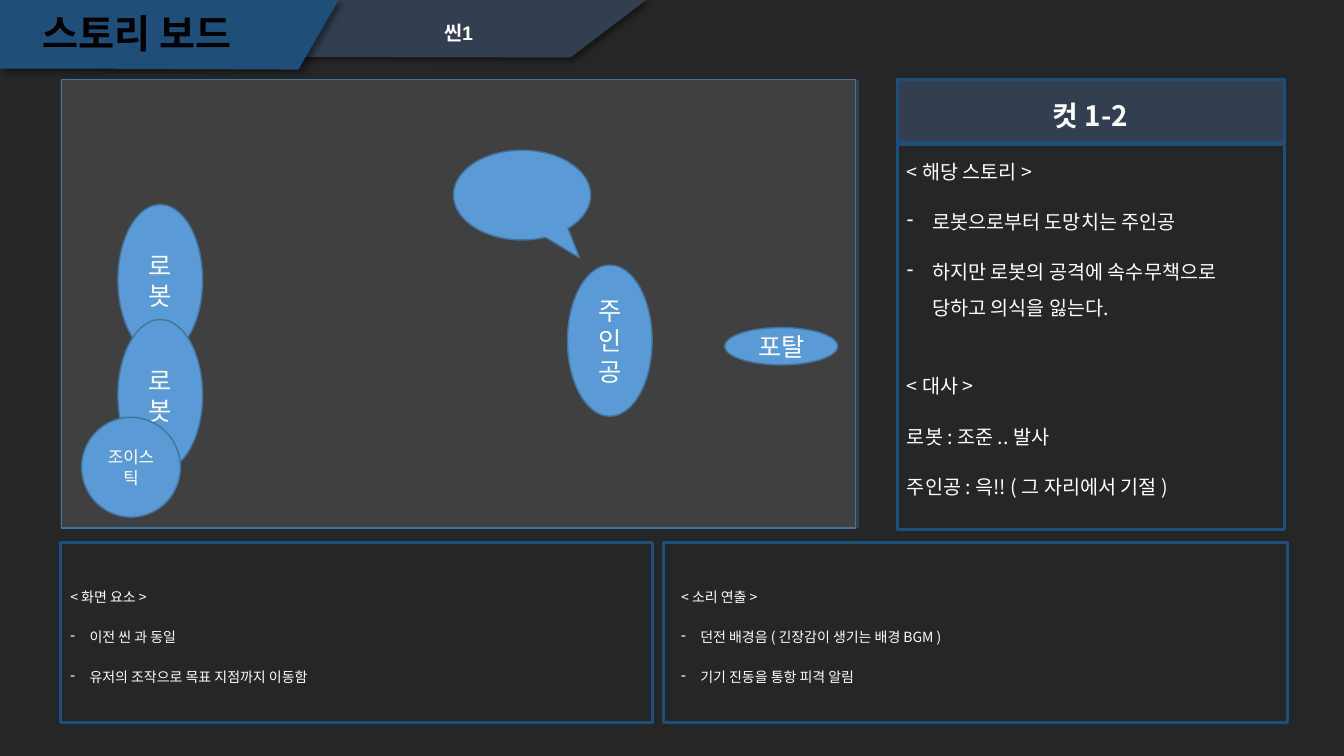
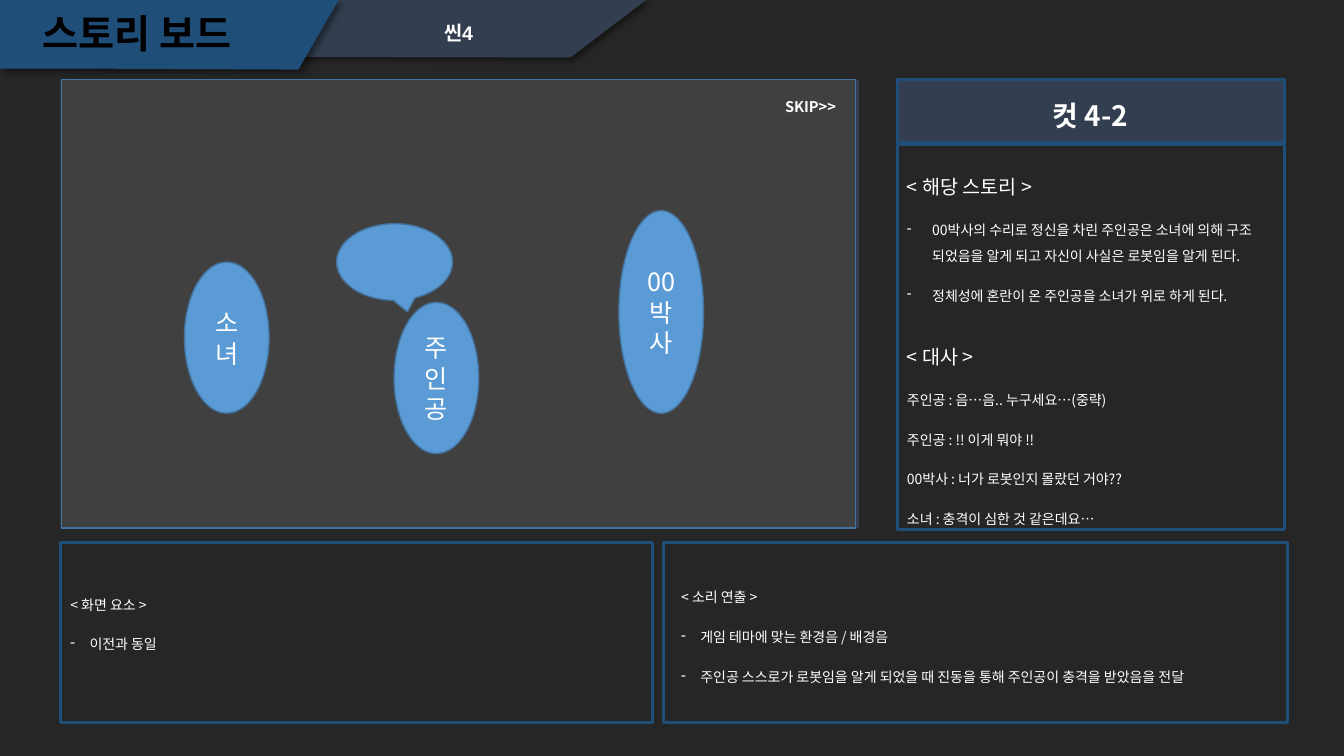
from lxml import etree
from pptx import Presentation
from pptx.dml.color import RGBColor
from pptx.enum.shapes import MSO_SHAPE
from pptx.enum.text import MSO_ANCHOR, PP_ALIGN
from pptx.oxml.ns import qn
from pptx.util import Emu, Inches, Pt

RECT, OVAL = MSO_SHAPE.RECTANGLE, MSO_SHAPE.OVAL
BUBBLE = MSO_SHAPE.OVAL_CALLOUT
TOP, MIDDLE = MSO_ANCHOR.TOP, MSO_ANCHOR.MIDDLE
LEFT, CENTER = PP_ALIGN.LEFT, PP_ALIGN.CENTER

# Grid: 160 columns by 90 rows of square cells
CELL = Inches(1) / 12
SIDE, SIDE_W = 106.8, 46.08
TOP_ROW, FOOT_ROW, FOOT_H = 9.48, 64.56, 21.48
STORY = (SIDE, 16.08, SIDE_W, 23.4)
TALK = (SIDE, 39.48, SIDE_W, 23.4)
VIEW = (7.2, FOOT_ROW, 72.72, FOOT_H)
SOUND = (79.92, FOOT_ROW, 72.72, FOOT_H)
ACTOR = (10.08, 18)


def grid(*cells):
    return [Emu(round(c * CELL)) for c in cells]


def color(code):
    return RGBColor.from_string(code)


class Board:
    BACK, SLATE, NAVY, GRAY = "262626", "333F50", "1F4E79", "404040"
    BLUE, EDGE, WHITE, BLACK = "5B9BD5", "43739E", "FFFFFF", "000000"
    BODY, HEAD = "Noto Sans CJK KR", "Arial"
    LOOSE, TIGHT = 1.84, 1.21

    def __init__(self):
        self.deck = Presentation()
        self.deck.slide_width, self.deck.slide_height = grid(160, 90)
        self.slide = None

    # Style helpers
    def paint(self, shape, fill=None, line=None, width=1):
        shape.shadow.inherit = False
        if fill:
            shape.fill.solid()
            shape.fill.fore_color.rgb = color(fill)
        else:
            shape.fill.background()
        if line:
            shape.line.color.rgb = color(line)
            shape.line.width = Pt(width)
        else:
            shape.line.fill.background()

    def typeset(self, frame, lines, size, head=None, align=LEFT, anchor=MIDDLE,
                font=BODY, ink=WHITE, bold=False, lead=None, gap=10, indent=0.19):
        frame.word_wrap = True
        frame.vertical_anchor = anchor
        for i, line in enumerate(lines):
            para = frame.paragraphs[0] if i == 0 else frame.add_paragraph()
            pts = head if head and i == 0 else size
            para.alignment = align
            para.space_before = Pt(gap if i else 0)
            if lead:
                para.line_spacing = Pt(round(pts * lead, 1))
            if line.startswith("- "):
                line = line[2:]
                props = para._p.get_or_add_pPr()
                props.set("marL", str(Inches(indent)))
                props.set("indent", str(-Inches(indent)))
                etree.SubElement(props, qn("a:buChar")).set("char", "-")
            para.add_run().text = line
            para.font.size, para.font.name = Pt(pts), font
            para.font.bold = bold
            para.font.color.rgb = color(ink)

    # Elements
    def box(self, area, fill=None, line=None, width=1, kind=RECT):
        shape = self.slide.shapes.add_shape(kind, *grid(*area))
        self.paint(shape, fill, line, width)
        return shape

    def text(self, area, lines, size, foot=0.05, **style):
        frame = self.slide.shapes.add_textbox(*grid(*area)).text_frame
        frame.margin_bottom = Inches(foot)
        self.typeset(frame, lines, size, **style)

    def note(self, area, lines, size=10, **style):
        self.text(area, lines, size, lead=self.LOOSE, **style)

    def oval(self, area, label, size=18):
        shape = self.box(area, self.BLUE, self.EDGE, kind=OVAL)
        self.typeset(shape.text_frame, [label], size, align=CENTER, lead=self.TIGHT)

    def bubble(self, area, tip):
        shape = self.box(area, self.BLUE, self.EDGE, kind=BUBBLE)
        for i, share in enumerate(tip):
            shape.adjustments[i] = share

    def band(self, points, fill):
        dots = [tuple(grid(*p)) for p in points]
        pen = self.slide.shapes.build_freeform(*dots[0])
        pen.add_line_segments(dots[1:], close=True)
        shape = pen.convert_to_shape()
        self.paint(shape, fill)
        effects = shape._element.spPr.find(qn("a:effectLst"))
        glow = etree.SubElement(effects, qn("a:outerShdw"), blurRad=str(Pt(4)),
                                dist=str(Pt(3)), dir="2700000", algn="tl")
        tone = etree.SubElement(glow, qn("a:srgbClr"), val=self.BLACK)
        etree.SubElement(tone, qn("a:alpha"), val="40000")

    # Frame shared by every slide
    def page(self, scene, cut):
        self.slide = self.deck.slides.add_slide(self.deck.slide_layouts[6])
        back = self.slide.background.fill
        back.solid()
        back.fore_color.rgb = color(self.BACK)
        self.band([(0.6, 0), (76.92, 0), (67.92, 6.84), (16.56, 6.72),
                   (0.6, 6.72)], self.SLATE)
        self.band([(0, 0), (40.32, 0), (35.52, 8.28), (8.4, 8.16),
                   (0, 8.16)], self.NAVY)
        self.box((7.2, TOP_ROW, 95.04, 53.4), self.SLATE)
        for area, fill in (((SIDE, 17.16, SIDE_W, 45.84), None),
                           ((SIDE, TOP_ROW, SIDE_W, 7.56), self.SLATE),
                           ((7.2, FOOT_ROW, 70.44, FOOT_H), None),
                           ((78.96, FOOT_ROW, 74.28, FOOT_H), None)):
            self.box(area, fill, self.NAVY, 2.25)
        self.text((48.6, 1.92, 12, 3.84), [scene], 14, align=CENTER,
                  anchor=TOP, font=self.HEAD, bold=True)
        self.text((0.36, 0.72, 31.92, 6.36), ["스토리 보드"], 28, align=CENTER,
                  font=self.HEAD, ink=self.BLACK, bold=True)
        self.note((SIDE, TOP_ROW, SIDE_W, 6.48), [cut], 20, align=CENTER, bold=True)
        self.box((7.32, TOP_ROW, 94.56, 53.4), self.GRAY, self.EDGE)


def main():
    board = Board()

    # Scene 1: the chase
    board.page("씬1", "컷 1-2")
    board.oval((67.56, 31.56, *ACTOR), "주인공")
    for row in (24.36, 38.04):
        board.oval((14.04, row, *ACTOR), "로봇")
    board.oval((9.72, 49.68, 11.76, 11.88), "조이스틱", 12)
    board.oval((86.28, 39, 13.44, 4.44), "포탈")
    board.bubble((54, 17.88, 16.32, 10.68), (0.42, 0.7))
    board.note(TALK, ["< 대사 >", "로봇 : 조준 .. 발사",
                      "주인공 : 윽!! ( 그 자리에서 기절 )"], 14)
    board.note(STORY, ["< 해당 스토리 >", "- 로봇으로부터 도망치는 주인공",
                       "- 하지만 로봇의 공격에 속수무책으로 당하고 의식을 잃는다."],
               14, indent=0.25)
    board.note(VIEW, ["< 화면 요소 >", "- 이전 씬 과 동일",
                      "- 유저의 조작으로 목표 지점까지 이동함"])
    board.note(SOUND, ["< 소리 연출 >",
                       "- 던전 배경음 ( 긴장감이 생기는 배경 BGM )",
                       "- 기기 진동을 통항 피격 알림"])

    # Scene 4: the truth
    board.page("씬4", "컷 4-2")
    board.oval((46.92, 36, *ACTOR), "주인공")
    board.oval((21.96, 31.2, *ACTOR), "소녀")
    board.oval((73.68, 25.08, 10.08, 24.12), "00박사")
    board.note(TALK, ["< 대사 >", "주인공 : 음…음.. 누구세요…(중략)",
                      "주인공 : !! 이게 뭐야 !!",
                      "00박사 : 너가 로봇인지 몰랐던 거야??",
                      "소녀 : 충격이 심한 것 같은데요…"], head=14)
    board.note(STORY, ["< 해당 스토리 >",
                       "- 00박사의 수리로 정신을 차린 주인공은 소녀에 의해 구조 "
                       "되었음을 알게 되고 자신이 사실은 로봇임을 알게 된다.",
                       "- 정체성에 혼란이 온 주인공을 소녀가 위로 하게 된다."],
               head=14, indent=0.25)
    board.note(VIEW, ["< 화면 요소 >", "- 이전과 동일"], foot=0.3)
    board.note(SOUND, ["< 소리 연출 >", "- 게임 테마에 맞는 환경음 / 배경음",
                       "- 주인공 스스로가 로봇임을 알게 되었을 때 진동을 통해 "
                       "주인공이 충격을 받았음을 전달"])
    board.text((92.28, 11.04, 12, 3.48), ["SKIP>>"], 10.5, anchor=TOP, bold=True)
    board.bubble((40.08, 26.64, 13.8, 9.12), (0.11, 0.65))

    board.deck.save("out.pptx")


if __name__ == "__main__":
    main()
